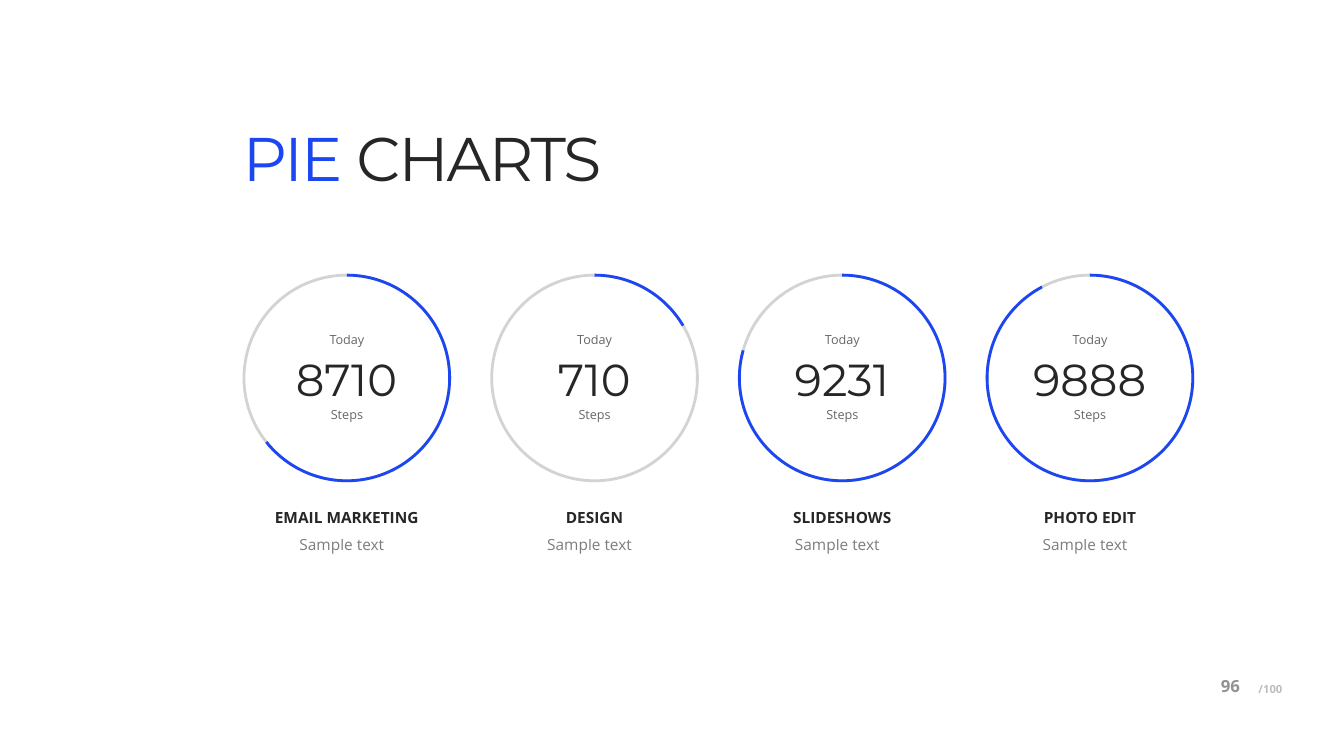
from lxml.etree import SubElement
from pptx import Presentation
from pptx.dml.color import RGBColor
from pptx.enum.shapes import MSO_SHAPE
from pptx.enum.text import MSO_ANCHOR, MSO_AUTO_SIZE, PP_ALIGN
from pptx.oxml.ns import qn
from pptx.util import Inches, Pt

DARK, BLUE = "262626", "1D46F3"
HEAD, BODY = "Montserrat", "Open Sans"


def paint(node, color, tone, alpha=100):
    color.rgb = RGBColor.from_string(tone)
    if alpha < 100:
        for item in node.iter(qn("a:srgbClr")):
            SubElement(item, qn("a:alpha")).set("val", str(alpha * 1000))


def write(home, words, box, size, face=BODY, alpha=100, bold=False, space=1.0,
          pads=(0, 0, 0, 0), align=PP_ALIGN.CENTER, grow=True):
    frame = home.add_textbox(*map(Inches, box)).text_frame
    frame.word_wrap = True
    frame.auto_size = MSO_AUTO_SIZE.SHAPE_TO_FIT_TEXT if grow else MSO_AUTO_SIZE.NONE
    frame.vertical_anchor = MSO_ANCHOR.TOP if grow else MSO_ANCHOR.MIDDLE
    frame.margin_left, frame.margin_top, frame.margin_right, frame.margin_bottom = map(Inches, pads)
    line = frame.paragraphs[0]
    line.alignment = align
    line.line_spacing = space
    run = line.add_run()
    run.text = words
    run.font.name = face
    run.font.size = Pt(size)
    run.font.bold = bold
    paint(run._r, run.font.color, DARK, alpha)


deck = Presentation()
deck.slide_width, deck.slide_height = Inches(13.33), Inches(7.5)
slide = deck.slides.add_slide(deck.slide_layouts[5])

title = slide.shapes.title
title.left, title.top, title.width, title.height = map(Inches, (2.41, 1.12, 6.29, 1.63))
frame = title.text_frame
frame.auto_size = MSO_AUTO_SIZE.NONE
frame.vertical_anchor = MSO_ANCHOR.TOP
frame.margin_left = frame.margin_right = frame.margin_bottom = 0
frame.margin_top = Inches(0.21)
line = frame.paragraphs[0]
line.alignment = PP_ALIGN.LEFT
line.line_spacing = 0.8
for words, tone in (("PIE", BLUE), (" CHARTS", DARK)):
    run = line.add_run()
    run.text = words
    run.font.name = HEAD
    run.font.size = Pt(44)
    run.font.element.set("spc", "-150") if hasattr(run.font, "element") else run._r.get_or_add_rPr().set("spc", "-150")
    paint(run._r, run.font.color, tone)

write(slide.shapes, "/100", (12.16, 6.71, 0.56, 0.25), 8, alpha=30, bold=True,
      align=PP_ALIGN.RIGHT, grow=False)
write(slide.shapes, "96", (12.11, 6.68, 0.56, 0.25), 12, alpha=50, bold=True,
      align=PP_ALIGN.LEFT, grow=False)

dials = (
    ("EMAIL MARKETING", "8710", 84.91),
    ("DESIGN", "710", 197.66),
    ("SLIDESHOWS", "9231", 117.34),
    ("PHOTO EDIT", "9888", 145.34),
)
for step, (name, count, end) in enumerate(dials):
    left = 2.42 + 2.457 * step
    dial = slide.shapes.add_group_shape().shapes
    for kind, tone, alpha in ((MSO_SHAPE.OVAL, DARK, 20), (MSO_SHAPE.ARC, BLUE, 100)):
        ring = dial.add_shape(kind, *map(Inches, (left, 2.73, 2.04, 2.04)))
        ring.shadow.inherit = False
        ring.fill.background()
        ring.line.width = Pt(2)
        paint(ring.element, ring.line.color, tone, alpha)
    ring.adjustments[0], ring.adjustments[1] = 162, end
    write(dial, count, (left + 0.27, 3.54, 1.59, 0.56), 32, HEAD, space=0.8,
          pads=(0, 0.05, 0.1, 0.05))
    for words, top in (("Steps", 3.96), ("Today", 3.22)):
        write(dial, words, (left + 0.67, top, 0.8, 0.2), 9, alpha=70, space=1.5,
              pads=(0, 0, 0.1, 0))
    label = slide.shapes.add_group_shape().shapes
    write(label, name, (left + 0.06, 5.08, 1.92, 0.15), 11, bold=True, space=0.8)
    write(label, "Sample text", (left + 0.06, 5.22, 1.92, 0.25), 11, alpha=60,
          space=1.5, pads=(0, 0, 0.1, 0))

deck.save("out.pptx")
